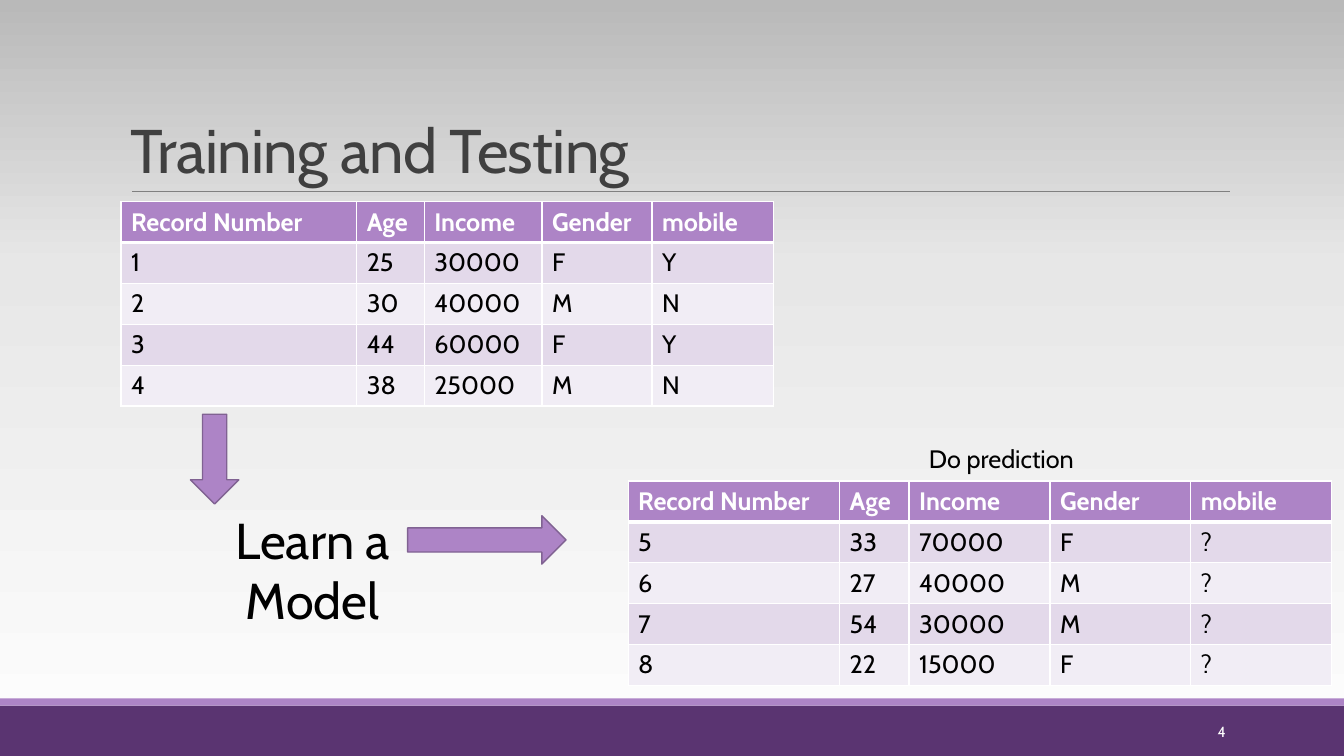
from copy import deepcopy

from lxml.etree import SubElement
from pptx import Presentation
from pptx.dml.color import RGBColor
from pptx.enum.shapes import MSO_CONNECTOR, MSO_SHAPE
from pptx.enum.text import MSO_ANCHOR, PP_ALIGN
from pptx.oxml.ns import qn
from pptx.util import Cm, Pt

FONT = "Cabin"
LILAC = "AD84C6"
PURPLE = "5A3471"
WHITE = "FFFFFF"
BLACK = "000000"
BANDS = ("E3D9EA", "F1EDF5")
ROW_HEIGHT = 1.03
HEADINGS = ("Record Number", "Age", "Income", "Gender", "mobile")
TRAINING = (
    ("1", "25", "30000", "F", "Y"),
    ("2", "30", "40000", "M", "N"),
    ("3", "44", "60000", "F", "Y"),
    ("4", "38", "25000", "M", "N"),
)
TESTING = (
    ("5", "33", "70000", "F", "?"),
    ("6", "27", "40000", "M", "?"),
    ("7", "54", "30000", "M", "?"),
    ("8", "22", "15000", "F", "?"),
)


def colour(hex_code):
    """Turn a hex string into a colour."""
    return RGBColor.from_string(hex_code)


def write(frame, text, size=18, ink=BLACK, bold=False, align=PP_ALIGN.LEFT,
          anchor=MSO_ANCHOR.TOP, wrap=True, leading=None, tracking=None):
    """Put one formatted paragraph into a text frame."""
    frame.word_wrap = wrap
    frame.vertical_anchor = anchor
    paragraph = frame.paragraphs[0]
    paragraph.alignment = align
    paragraph.line_spacing = leading
    run = paragraph.add_run()
    run.text = text
    run.font.name = FONT
    run.font.size = Pt(size)
    run.font.bold = bold
    run.font.color.rgb = colour(ink)
    if tracking is not None:
        run.font._element.set("spc", str(round(tracking * 100)))


def add_label(slide, box, text, **style):
    """Add a text box at (left, top, width, height) in centimetres."""
    label = slide.shapes.add_textbox(*map(Cm, box))
    write(label.text_frame, text, **style)


def add_block(slide, kind, box, fill, outline=None, rotation=0):
    """Add a filled preset shape."""
    block = slide.shapes.add_shape(kind, *map(Cm, box))
    block.shadow.inherit = False
    block.rotation = rotation
    block.fill.solid()
    block.fill.fore_color.rgb = colour(fill)
    if outline:
        block.line.color.rgb = colour(outline)
        block.line.width = Pt(1)
    else:
        block.line.fill.background()


def add_rule(slide, left, right, top):
    """Add the thin line under the title."""
    rule = slide.shapes.add_connector(
        MSO_CONNECTOR.STRAIGHT, Cm(left), Cm(top), Cm(right), Cm(top))
    rule.line.color.rgb = colour("808080")
    rule.line.width = Pt(0.5)
    SubElement(rule._element.spPr, qn("a:effectLst"))


def set_borders(cell, top, bottom):
    """Give a cell white borders with the given top and bottom widths."""
    properties = cell._tc.get_or_add_tcPr()
    for side, width in (("L", 1), ("R", 1), ("T", top), ("B", bottom)):
        border = SubElement(properties, qn(f"a:ln{side}"), w=str(Pt(width)))
        fill = SubElement(border, qn("a:solidFill"))
        SubElement(fill, qn("a:srgbClr"), val=WHITE)


def add_records(slide, left, top, widths, records):
    """Add a table of records below a lilac heading row."""
    rows = (HEADINGS, *records)
    table = slide.shapes.add_table(
        len(rows), len(widths), Cm(left), Cm(top),
        Cm(sum(widths)), Cm(ROW_HEIGHT * len(rows))).table
    for column, width in zip(table.columns, widths):
        column.width = Cm(width)
    for r, values in enumerate(rows):
        heading = r == 0
        table.rows[r].height = Cm(ROW_HEIGHT)
        for c, value in enumerate(values):
            cell = table.cell(r, c)
            set_borders(cell, 3 if r == 1 else 1, 3 if heading else 1)
            cell.fill.solid()
            cell.fill.fore_color.rgb = colour(LILAC if heading else BANDS[(r - 1) % 2])
            write(cell.text_frame, value, bold=heading, ink=WHITE if heading else BLACK)


def paint_background(slide):
    """Fade the background from grey at the top to near white."""
    fill = slide.background.fill
    fill.gradient()
    fill.gradient_angle = 90
    stop_list = slide.element.find(f".//{qn('a:gsLst')}")
    stop_list.append(deepcopy(stop_list[0]))
    shades = ((0, "FEFEFE"), (0.65, "E7E7E7"), (1, "B9B9B9"))
    for stop, (position, shade) in zip(fill.gradient_stops, shades):
        stop.position = position
        stop.color.rgb = colour(shade)


def main():
    """Build the slide and save it."""
    deck = Presentation()
    deck.slide_width, deck.slide_height = Cm(33.87), Cm(19.05)
    slide = deck.slides.add_slide(deck.slide_layouts[6])
    paint_background(slide)
    add_block(slide, MSO_SHAPE.RECTANGLE, (0, 17.78, 33.87, 1.27), PURPLE)
    add_block(slide, MSO_SHAPE.RECTANGLE, (0, 17.6, 33.87, 0.18), LILAC)
    add_rule(slide, 3.33, 31, 4.82)
    add_label(slide, (3.05, 0.79, 27.94, 4.03), "Training and Testing", size=44,
              ink="404040", anchor=MSO_ANCHOR.BOTTOM, leading=0.85, tracking=-0.5)
    add_records(slide, 3.05, 5.08, (5.94, 1.7, 2.97, 2.77, 3.07), TRAINING)
    add_label(slide, (27.5, 17.94, 3.64, 1.01), "4", size=10.5, ink=WHITE,
              align=PP_ALIGN.RIGHT, anchor=MSO_ANCHOR.MIDDLE)
    add_records(slide, 15.83, 12.12, (5.33, 1.75, 3.55, 3.55, 3.55), TESTING)
    add_label(slide, (5.44, 12.7, 4.88, 3.33), "Learn a Model", size=36,
              align=PP_ALIGN.CENTER)
    for box, rotation in (((4.8, 10.44, 1.22, 2.26), 0), ((11.66, 11.61, 1.22, 3.99), 270)):
        add_block(slide, MSO_SHAPE.DOWN_ARROW, box, LILAC, "806292", rotation)
    add_label(slide, (23.16, 11.05, 4.17, 1.02), "Do prediction", wrap=False)
    deck.save("out.pptx")


if __name__ == "__main__":
    main()
